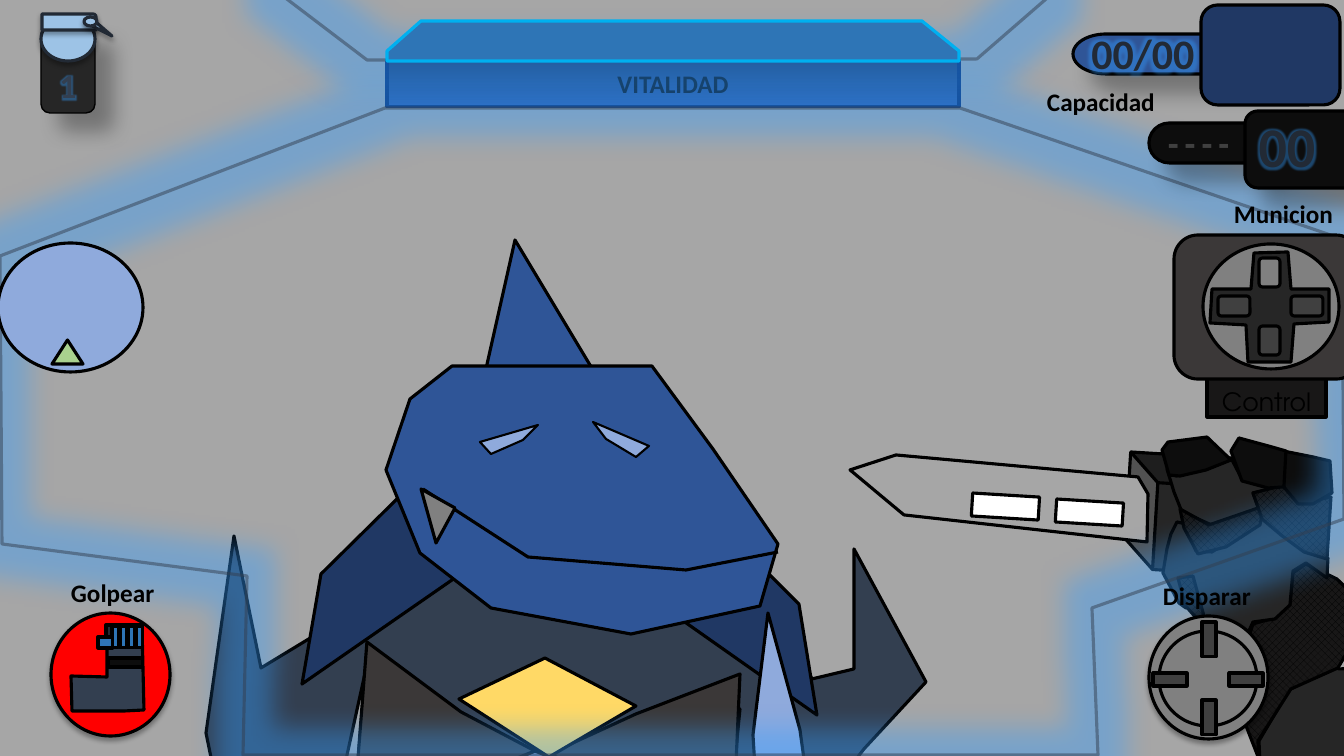
from dataclasses import dataclass
from lxml import etree
from pptx import Presentation
from pptx.dml.color import RGBColor
from pptx.enum.dml import MSO_PATTERN as Pat
from pptx.enum.shapes import MSO_SHAPE as Kind
from pptx.enum.text import MSO_ANCHOR as Anchor, PP_ALIGN as Align
from pptx.oxml.ns import qn
from pptx.util import Pt

PX = 12192000 / 1344  # one px in EMU


@dataclass(frozen=True)
class Theme:
    back: str = "A6A6A6"
    ink: str = "000000"
    skin: str = "2F5597"
    navy: str = "203864"
    pale: str = "8FAADC"
    slate: str = "333F50"
    dusk: str = "222A35"
    plate: str = "3B3838"
    coal: str = "262626"
    jet: str = "0D0D0D"
    soot: str = "181717"
    iron: str = "404040"
    steel: str = "808080"
    blue: str = "2E75B6"
    ice: str = "9DC3E6"
    white: str = "FFFFFF"
    gold: str = "FFD966"
    lime: str = "A9D18E"
    red: str = "FF0000"
    cyan: str = "00B0F0"
    glow: str = "359EFF"
    deep: str = "002060"
    shade: tuple = ("18315E", "28529E")
    font: str = "Calibri"
    mono: str = "DejaVu Sans Mono"
    geo: str = "TeX Gyre Adventor"
    small: int = 18
    dash: int = 20
    count: int = 24
    load: int = 30
    ammo: int = 40


T = Theme()
MESH = (T.ink, T.soot)
NEAR = (32, 3.5, 2.2, 90)  # shadow: alpha, blur, distance, angle
FAR = (30, 15, 18, 45)


def emu(n):
    return round(n * PX)


def rgb(code):
    return RGBColor.from_string(code)


def tint(parent, code, alpha=100):
    clr = etree.SubElement(parent, qn("a:srgbClr"), val=code)
    if alpha < 100:
        etree.SubElement(clr, qn("a:alpha"), val=str(alpha * 1000))


def halo(parent, size):
    glow = etree.SubElement(parent, qn("a:glow"), rad=str(emu(size)))
    tint(glow, T.glow, 40)


def style(shp, fill, line=T.ink, width=2.25, alpha=100, shadow=None, glow=0):
    if fill is None:
        shp.fill.background()
    elif fill == MESH:
        shp.fill.patterned()
        shp.fill.pattern = Pat.PERCENT_50
        shp.fill.fore_color.rgb, shp.fill.back_color.rgb = map(rgb, fill)
    elif fill == T.shade:
        shp.fill.gradient()
        shp.fill.gradient_angle = 270
        for stop, code in zip(shp.fill.gradient_stops, fill):
            stop.color.rgb = rgb(code)
    else:
        shp.fill.solid()
        shp.fill.fore_color.rgb = rgb(fill)
    shp.line.color.rgb = rgb(line)
    shp.line.width = Pt(width)
    if alpha < 100:
        clr = shp.line._get_or_add_ln().find(".//" + qn("a:srgbClr"))
        etree.SubElement(clr, qn("a:alpha"), val=str(alpha * 1000))
    shp.shadow.inherit = False
    fx = shp._element.spPr.find(qn("a:effectLst"))
    if glow:
        halo(fx, glow)
    if shadow:
        fade, blur, dist, turn = shadow
        out = etree.SubElement(fx, qn("a:outerShdw"), blurRad=str(round(blur * 12700)),
                               dist=str(round(dist * 12700)), dir=str(turn * 60000))
        tint(out, T.ink, fade)
    return shp


def place(box, part):
    x, y, w, h = part
    return [emu(n) for n in (box[0] + x, box[1] + y, w, h)]


def draw(pen, box, kind, part, fill, turn=0, **look):
    shp = pen.add_shape(kind, *place(box, part))
    shp.rotation = turn
    return style(shp, fill, **look)


def trace(pen, box, fill, *pts, close=True, **look):
    path = pen.build_freeform(*pts[0], scale=PX)
    path.add_line_segments(pts[1:], close=close)
    return style(path.convert_to_shape(emu(box[0]), emu(box[1])), fill, **look)


def write(shp, text, size=T.small, font=T.font, color=T.ink, bold=True,
          align=Align.CENTER, anchor=Anchor.MIDDLE, foot=5, wrap=True, edge=0, glow=0):
    frame = shp.text_frame
    frame.word_wrap, frame.vertical_anchor = wrap, anchor
    frame.margin_bottom = emu(foot)
    para = frame.paragraphs[0]
    para.alignment = align
    run = para.add_run()
    run.text = text
    run.font.size, run.font.bold, run.font.name = Pt(size), bold, font
    run.font.color.rgb = rgb(color)
    props = run.font._element
    if edge:
        line = etree.Element(qn("a:ln"), w=str(round(edge * 12700)))
        tint(etree.SubElement(line, qn("a:solidFill")), T.ink)
        props.insert(0, line)
    if glow:
        fx = etree.Element(qn("a:effectLst"))
        halo(fx, glow)
        props.find(qn("a:solidFill")).addnext(fx)


def label(pen, box, part, text, **look):
    look = {"align": Align.LEFT, "anchor": Anchor.TOP} | look
    write(pen.add_textbox(*place(box, part)), text, **look)


def group(pen):
    return pen.add_group_shape().shapes


def arm(pen, box):
    g = group(pen)
    draw(g, box, Kind.CUBE, (369, 16, 116, 200), T.coal, turn=273.5)
    # Palm, wrist and sleeve
    trace(g, box, T.coal, (431, 58), (409, 68), (376, 76), (367, 69), (374, 92), (382, 112),
          (414, 126), (459, 109), (453, 93), (483, 86), (443, 81))
    trace(g, box, MESH, (384, 204), (418, 243), (436, 245), (407, 210), (404, 180),
          (404, 171), (376, 164), (375, 179))
    trace(g, box, T.coal, (535, 265), (489, 290), (459, 341), (460, 361), (535, 505),
          (584, 439), (584, 327), (579, 300), (563, 268), (539, 269))
    trace(g, box, MESH, (538, 268), (491, 289), (458, 341), (459, 359), (445, 323),
          (454, 289), (432, 251), (447, 243), (453, 224), (474, 218), (490, 204),
          (493, 173), (506, 164), (537, 179), (562, 203), (552, 244))
    trace(g, box, T.coal, (470, 114), (499, 145), (528, 158), (527, 178), (506, 163),
          (493, 171), (490, 205), (475, 219), (453, 222), (444, 242), (434, 250),
          (420, 239), (404, 216), (393, 176), (378, 178), (386, 208), (379, 203),
          (363, 173), (367, 149), (371, 134), (377, 122), (386, 124), (396, 151),
          (412, 152), (440, 134))
    # Fingers and knuckles
    trace(g, box, MESH, (380, 109), (384, 128), (398, 154), (426, 147), (460, 125),
          (464, 106), (409, 125))
    trace(g, box, MESH, (453, 93), (485, 85), (503, 103), (531, 97), (527, 159),
          (504, 152), (481, 135), (462, 119))
    trace(g, box, T.jet, (483, 51), (483, 86), (498, 104), (513, 104), (532, 93),
          (530, 61), (513, 57))
    trace(g, box, T.jet, (431, 51), (439, 38), (472, 47), (486, 51), (484, 87),
          (468, 88), (442, 81))
    trace(g, box, T.jet, (431, 60), (407, 37), (368, 42), (362, 50), (369, 75),
          (380, 76), (406, 70))
    # Blade with two windows
    trace(g, box, T.back, (348, 94), (338, 77), (96, 55), (50, 70), (104, 115), (347, 142))
    for x, y in ((278, 79), (194, 73)):
        draw(g, box, Kind.RECTANGLE, (x, y, 23, 67), T.white, turn=273.5)


def shark(pen, box):
    trace(pen, box, T.skin, (279, 200), (315, 40), (420, 215), (264, 219))
    g = group(pen)
    # Body, arms and chest plates
    trace(g, box, T.slate, (110, 900), (502, 913), (516, 754), (540, 509), (461, 657),
          (555, 691), (664, 549), (726, 482), (654, 349), (654, 469), (612, 479),
          (550, 357), (425, 317), (207, 309), (117, 434), (61, 468), (34, 336),
          (6, 533), (36, 680), (118, 687), (166, 469), (148, 674))
    trace(g, box, T.navy, (521, 326), (599, 404), (617, 515), (455, 401))
    trace(g, box, T.navy, (199, 297), (121, 374), (102, 484), (265, 371))
    trace(g, box, T.pale, (162, 624), (335, 551), (529, 629), (449, 679), (328, 617), (217, 671))
    trace(g, box, T.plate, (436, 514), (540, 474), (533, 631), (349, 554))
    trace(g, box, T.plate, (153, 624), (335, 551), (261, 512), (167, 442))
    trace(g, box, T.gold, (259, 499), (349, 557), (436, 506), (345, 458))
    # Head, eyes, mouth, tail and tooth
    trace(g, box, T.skin, (186, 270), (220, 353), (291, 408), (431, 434), (560, 406),
          (578, 344), (513, 249), (452, 166), (252, 166), (210, 199))
    trace(g, box, T.pale, (449, 246), (393, 222), (406, 239), (436, 257), width=1.5)
    trace(g, box, T.pale, (280, 242), (338, 225), (323, 240), (291, 254), width=1.5)
    trace(g, box, None, (223, 289), (328, 357), (486, 370), (578, 352), close=False)
    trace(g, box, T.pale, (559, 632), (553, 535), (568, 413), (600, 530), (612, 617), (597, 647))
    trace(g, box, T.steel, (221, 289), (236, 343), (255, 308))


def visor(pen, box):
    bar = draw(pen, box, Kind.RECTANGLE, (387, 60, 572, 47), T.shade, line=T.deep)
    write(bar, "VITALIDAD")
    trace(pen, box, None, (385, 108), (960, 108), (1342, 239), (1344, 519), (1092, 608),
          (1098, 755), (243, 755), (247, 576), (2, 544), (0, 256),
          line=T.slate, alpha=50, glow=50)


def crown(pen, box):
    trace(pen, box, None, (271, -13), (367, 60), (977, 59), (1053, -7), close=False,
          line=T.slate, alpha=50, glow=50)
    trace(pen, box, T.blue, (387, 51), (421, 21), (922, 21), (959, 51), (959, 61),
          (387, 61), line=T.cyan)


def pad(pen, box):
    tag = draw(pen, box, Kind.RECTANGLE, (33, 123, 119, 59), T.soot)
    write(tag, "Control", font=T.geo, bold=False, anchor=Anchor.BOTTOM, foot=0)
    draw(pen, box, Kind.ROUNDED_RECTANGLE, (0, 0, 186, 144), T.plate)
    draw(pen, box, Kind.OVAL, (29, 9, 136, 125), T.steel)
    trace(pen, box, T.coal, (77, 54), (80, 18), (114, 17), (117, 54), (155, 54), (155, 87),
          (120, 89), (117, 127), (74, 127), (72, 90), (36, 88), (38, 54))
    for key, fill in (((85, 23, 21, 29), T.steel), ((85, 91, 21, 29), T.iron),
                      ((117, 61, 32, 20), T.iron), ((44, 61, 32, 20), T.iron)):
        draw(pen, box, Kind.ROUNDED_RECTANGLE, key, fill)


def radar(pen, box):
    draw(pen, box, Kind.OVAL, (0, 0, 145, 129), T.pale)
    draw(pen, box, Kind.FLOWCHART_EXTRACT, (54, 97, 31, 24), T.lime)


def load(pen, box):
    draw(pen, box, Kind.FLOWCHART_TERMINATOR, (36, 29, 206, 40), T.skin, shadow=FAR)
    label(pen, box, (0, 76, 129, 40), "Capacidad", wrap=False)
    draw(pen, box, Kind.ROUNDED_RECTANGLE, (164, 0, 139, 100), T.navy)
    label(pen, box, (39, 18, 134, 61), "00/00", size=T.load, color=T.dusk,
          align=Align.CENTER, edge=2.48, glow=18)


def ammo(pen, box):
    label(pen, box, (75, 86, 120, 40), "Municion", wrap=False)
    clip = draw(pen, box, Kind.FLOWCHART_TERMINATOR, (0, 16, 127, 40), T.jet, shadow=FAR)
    write(clip, "----", size=T.dash, font=T.mono, color=T.iron, align=Align.LEFT)
    draw(pen, box, Kind.ROUNDED_RECTANGLE, (96, 4, 293, 77), T.jet, shadow=FAR)
    label(pen, box, (99, 0, 78, 78), "00", size=T.ammo, color=T.dusk,
          align=Align.CENTER, wrap=False, edge=2.48, glow=8)


def flask(pen, box):
    jar = draw(pen, box, Kind.ROUNDED_RECTANGLE, (0, 11, 54, 88), T.coal, width=1, shadow=FAR)
    write(jar, "1", size=T.count, color=T.slate, anchor=Anchor.BOTTOM, glow=8)
    g, look = group(pen), {"line": T.dusk, "shadow": NEAR}
    draw(g, box, Kind.OVAL, (0, 3, 54, 44), T.ice, **look)
    draw(g, box, Kind.ROUND_1_RECTANGLE, (1, 0, 54, 16), T.ice, **look)
    trace(g, box, T.ice, (45, 9), (49, 3), (71, 22), **look)
    draw(g, box, Kind.OVAL, (43, 3, 13, 9), T.ice, **look)


def button(pen, box, fill, text, left):
    draw(pen, box, Kind.OVAL, (0, 0, box[2], box[3]), fill, shadow=NEAR)
    label(pen, box, (left, -41, 153, 40), text)
    return group(pen)


def fire(pen, box):
    g = button(pen, box, T.steel, "Disparar", 4)
    draw(g, box, Kind.OVAL, (10, 15, 98, 95), None)
    for mark in ((53, 6, 14, 35), (80, 57, 34, 13), (4, 57, 34, 13), (53, 84, 14, 35)):
        draw(g, box, Kind.RECTANGLE, mark, T.iron)


def punch(pen, box):
    g = button(pen, box, T.red, "Golpear", 10)
    trace(g, box, T.slate, (20, 63), (21, 98), (73, 98), (93, 97), (91, 12), (65, 12),
          (56, 14), (56, 64))
    draw(g, box, Kind.RECTANGLE, (55, 12, 37, 22), T.dusk)
    draw(g, box, Kind.RECTANGLE, (57, 45, 35, 9), T.jet)
    for i in range(4):
        draw(g, box, Kind.RECTANGLE, (61 + 8 * i, 13, 7, 22), T.blue)
    draw(g, box, Kind.RECTANGLE, (47, 24, 15, 11), T.blue)


def main():
    deck = Presentation()
    deck.slide_width, deck.slide_height = emu(1344), emu(756)
    slide = deck.slides.add_slide(deck.slide_layouts[6])
    slide.background.fill.solid()
    slide.background.fill.fore_color.rgb = rgb(T.back)
    # Regions from back to front
    for part, box in ((arm, (800, 400, 544, 356)), (shark, (200, 200, 726, 556)),
                      (visor, (0, 0, 1344, 756)), (pad, (1174, 235, 186, 144)),
                      (radar, (-2, 243, 145, 129)), (load, (1037, 5, 303, 116)),
                      (flask, (41, 14, 71, 99)), (fire, (1149, 616, 119, 123)),
                      (punch, (51, 613, 119, 123)), (ammo, (1149, 107, 195, 126)),
                      (crown, (0, 0, 1344, 61))):
        part(slide.shapes, box)
    deck.save("out.pptx")


if __name__ == "__main__":
    main()
